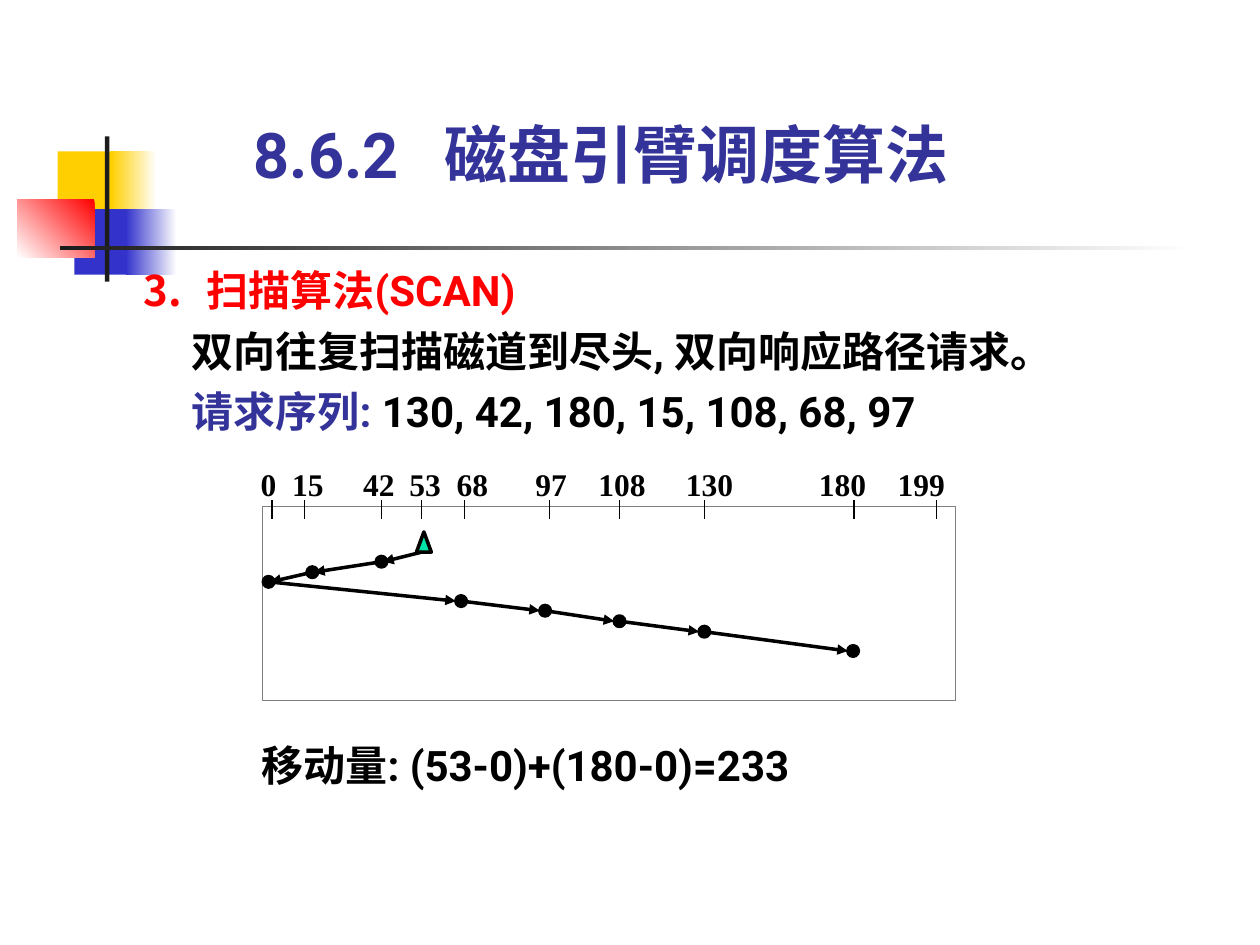
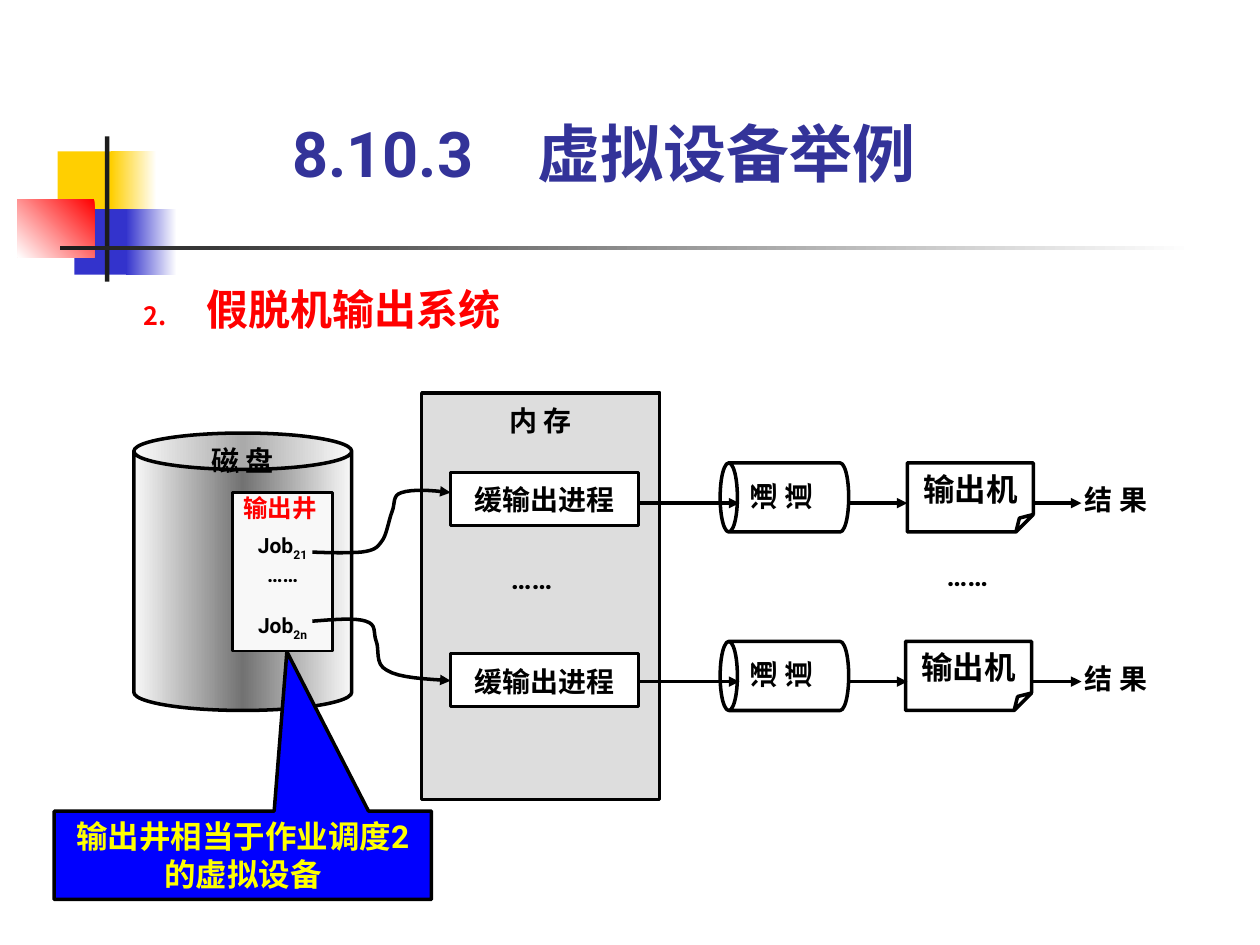
"""Build two operating-system lecture slides: SCAN disk scheduling and spooled output."""
import copy
import itertools

import pptx
import pptx.dml.color
import pptx.enum.shapes
import pptx.enum.text
import pptx.oxml.ns
import pptx.util
from lxml import etree

Pt = pptx.util.Pt
qn = pptx.oxml.ns.qn
SHAPE = pptx.enum.shapes.MSO_SHAPE
ALIGN = pptx.enum.text.PP_ALIGN
ANCHOR = pptx.enum.text.MSO_ANCHOR
RGB = pptx.dml.color.RGBColor.from_string

COLORS = {
    "black": "000000", "white": "FFFFFF", "red": "FF0000", "title": "333399",
    "gold": "FFCF01", "blue": "3333CC", "ink": "1C1C1C", "frame": "808080",
    "head": "00E4A8", "memory": "DDDDDD", "paper": "F8F8F8", "steel": "727272",
    "callout": "0000FF", "yellow": "FFFF00",
}


def draw(slide, kind, box, fills=(), weight=0, line="black", angle=180):
    """Add a preset shape; several fills make an evenly spaced gradient."""
    shape = slide.shapes.add_shape(kind, *map(Pt, box))
    shape.shadow.inherit = False
    if not fills:
        shape.fill.background()
    elif len(fills) == 1:
        shape.fill.solid()
        shape.fill.fore_color.rgb = RGB(COLORS[fills[0]])
    else:
        shape.fill.gradient()
        shape.fill.gradient_angle = angle
        stops = next(shape._element.spPr.iter(qn("a:gsLst")))
        while len(stops) < len(fills):
            stops.append(copy.deepcopy(stops[0]))
        for i, stop in enumerate(shape.fill.gradient_stops):
            stop.color.rgb = RGB(COLORS[fills[i]])
            stop.position = i / (len(fills) - 1)
    if weight:
        shape.line.color.rgb = RGB(COLORS[line])
        shape.line.width = Pt(weight)
    else:
        shape.line.fill.background()
    return shape


def write(shape, text, size, color="black", align=ALIGN.CENTER, anchor=ANCHOR.TOP,
          insets=(0, 0, 0, 0), wrap=True, font="Roboto", tabs=(), number=None):
    """Fill a shape with bold paragraphs; number is (start, bullet percent) for the first."""
    frame = shape.text_frame
    frame.word_wrap = wrap
    frame.vertical_anchor = anchor
    frame.margin_left, frame.margin_top, frame.margin_right, frame.margin_bottom = map(Pt, insets)
    frame.text = text
    for i, paragraph in enumerate(frame.paragraphs):
        props = paragraph._p.get_or_add_pPr()
        if number and i == 0:
            props.set("marL", str(Pt(36)))
            props.set("indent", str(-Pt(36)))
            bullet_color = etree.SubElement(props, qn("a:buClr"))
            etree.SubElement(bullet_color, qn("a:srgbClr"), val=COLORS["red"])
            etree.SubElement(props, qn("a:buSzPct"), val=str(number[1] * 1000))
            etree.SubElement(props, qn("a:buAutoNum"), type="arabicPeriod", startAt=str(number[0]))
        if tabs:
            tab_list = etree.SubElement(props, qn("a:tabLst"))
            for stop in tabs:
                etree.SubElement(tab_list, qn("a:tab"), pos=str(Pt(stop)), algn="l")
        paragraph.alignment = align
        paragraph.font.name = font
        paragraph.font.size = Pt(size)
        paragraph.font.bold = True
        paragraph.font.color.rgb = RGB(COLORS[color])
    return frame


prs = pptx.Presentation()
prs.slide_width, prs.slide_height = Pt(720), Pt(540)
scan, spool = [prs.slides.add_slide(prs.slide_layouts[6]) for _ in range(2)]

decoration = [
    ((33, 86.5, 34.5, 37.5), ["gold"], 180),
    ((63.5, 86.5, 26, 37.5), ["white", "gold"], 180),
    ((42.5, 119.5, 33, 37.5), ["blue"], 180),
    ((72, 119.5, 29, 37.5), ["white", "blue"], 180),
    ((10, 114, 44, 33), ["red", "white"], 225),
    ((60, 78, 2.5, 83), ["ink"], 180),
    ((34.5, 140.5, 648, 2.5), ["white", "ink"], 180),
]
titles = [
    (scan, "8.6.2\t磁盘引臂调度算法", (145, 66, 414, 43), 109),
    (spool, "8.10.3\t虚拟设备举例", (167, 65.5, 391, 43), 140),
]
for slide, title, box, gap in titles:
    for part, fills, angle in decoration:
        draw(slide, SHAPE.RECTANGLE, part, fills, angle=angle)
    write(slide.shapes.add_textbox(*map(Pt, box)), title, 36, "title", ALIGN.LEFT,
          ANCHOR.BOTTOM, tabs=[gap])

strokes = []

method = write(scan.shapes.add_textbox(Pt(82), Pt(145.5), Pt(613), Pt(104)),
               "扫描算法(SCAN)\n双向往复扫描磁道到尽头, 双向响应路径请求。\n请求序列:",
               24, align=ALIGN.LEFT, number=(3, 100))
heading, rule, requests = method.paragraphs
heading.font.color.rgb = RGB(COLORS["red"])
requests.font.color.rgb = RGB(COLORS["title"])
sequence = requests.add_run()
sequence.text = " 130, 42, 180, 15, 108, 68, 97"
sequence.font.color.rgb = RGB(COLORS["black"])
for paragraph in method.paragraphs:
    paragraph.line_spacing = 1.2
for paragraph in (rule, requests):
    paragraph._p.pPr.set("marL", str(Pt(27.5)))

distance = write(scan.shapes.add_textbox(Pt(149.5), Pt(417), Pt(352), Pt(34.5)),
                 "移动量: (53-0)+(180-0)=233", 24, align=ALIGN.LEFT)
distance.paragraphs[0].line_spacing = 1.2

draw(scan, SHAPE.RECTANGLE, (150, 289.5, 396, 111), weight=0.75, line="frame")
tracks = [0, 15, 42, 53, 68, 97, 108, 130, 180, 199]
write(scan.shapes.add_textbox(Pt(149), Pt(265.5), Pt(410), Pt(22)),
      "\t".join(map(str, tracks)), 18, align=ALIGN.LEFT, font="Times New Roman",
      tabs=[18, 58.5, 85, 112, 157, 193, 243, 319, 364])
for x in (155.5, 174, 218, 241, 265.5, 314, 354, 402.5, 488, 535):
    strokes.append((scan, [(x, 286), (x, 296.5)], 0.75, False))

draw(scan, SHAPE.ISOSCELES_TRIANGLE, (238, 304, 8.5, 11.5), ["head"], 2)
visits = [(241, 315.5), (218, 321), (178.5, 327), (153.5, 332.5), (263.5, 343.5),
          (311.5, 349), (354, 355), (402.5, 361), (487.5, 372)]
for start, (x, y) in itertools.pairwise(visits):
    draw(scan, SHAPE.OVAL, (x - 3, y - 3, 6, 6), ["black"], 2)
    strokes.append((scan, [start, (x - 3 if x > start[0] else x + 1, y)], 2, True))

write(spool.shapes.add_textbox(Pt(82), Pt(162), Pt(227), Pt(29)), "假脱机输出系统",
      24, "red", ALIGN.LEFT, number=(2, 60))

disk = draw(spool, SHAPE.CAN, (76.5, 247.5, 124.5, 158.5), ["paper", "steel", "paper"], 2)
disk.adjustments[0] = 0.167
well = draw(spool, SHAPE.RECTANGLE, (133, 281.5, 57, 90.5), ["paper"], 1.5)
jobs = write(well, "Job\n……\nJob", 12, anchor=ANCHOR.MIDDLE, insets=(7.2, 21, 7.2, 3.6), wrap=False)
jobs.paragraphs[2].space_before = Pt(15)
for row, index in ((0, "21"), (2, "2n")):
    subscript = jobs.paragraphs[row].add_run()
    subscript.text = index
    subscript._r.get_or_add_rPr().set("baseline", "-25000")
write(spool.shapes.add_textbox(Pt(139), Pt(281.5), Pt(45.5), Pt(17)), "输出井", 14, "red", ALIGN.LEFT)

draw(spool, SHAPE.RECTANGLE, (241, 224.5, 136, 232.5), ["memory"], 2)
labels = [("磁 盘", 116, 253.5), ("内 存", 286, 230.5), ("……", 281, 321),
          ("……", 530, 319), ("结 果", 615, 276), ("结 果", 615, 378)]
for label, x, y in labels:
    write(spool.shapes.add_textbox(Pt(x), Pt(y), Pt(45.5), Pt(19.5)), label, 16)

for y, process_top, printer_left in ((287.5, 270, 518.5), (389.5, 373.5, 517.5)):
    process = draw(spool, SHAPE.RECTANGLE, (257.5, process_top, 107.5, 30.5), ["white"], 1.75)
    write(process, "缓输出进程", 16, insets=(0, 6, 0, 6))
    channel = draw(spool, SHAPE.CAN, (428.5, y - 40, 39.5, 73.5), weight=2)
    channel.rotation = 270
    channel.adjustments[0] = 0.25
    frame = write(channel, "通 道", 16, anchor=ANCHOR.MIDDLE, insets=(3.6, 7.2, 3.6, 7.2), wrap=False)
    frame._txBody.bodyPr.set("vert", "eaVert")
    printer = draw(spool, SHAPE.FOLDED_CORNER, (printer_left, y - 23, 72, 39.5), weight=2)
    fold = next(printer._element.spPr.iter(qn("a:avLst")))
    etree.SubElement(fold, qn("a:gd"), name="adj", fmla="val 25200")
    write(printer, "输出机", 18, anchor=ANCHOR.MIDDLE, insets=(7.2, 3.6, 7.2, 3.6), wrap=False)
    for left, right in ((365.5, 422.5), (484.5, 518.5), (590, 618)):
        strokes.append((spool, [(left, y), (right, y)], 2, True))

job_paths = [
    [(178.5, 315.5), (189.5, 316), (200, 316), (206.5, 315.5), (214, 314.5), (215.5, 313),
     (218, 309.5), (221, 306), (222, 297.5), (224, 292.5), (226, 288), (224, 283),
     (229.5, 281.5), (235.5, 279.5), (246, 280), (257.5, 281.5)],
    [(178.5, 355), (191, 354), (203, 353), (209, 355), (215.5, 357), (213, 361),
     (215, 366.5), (217, 371), (214, 379.5), (221, 383), (228, 387.5), (243.5, 388),
     (257.5, 389)],
]
for controls in job_paths:
    curve = controls[:1]
    for first in range(0, len(controls) - 1, 3):
        for t in (step / 8 for step in range(1, 9)):
            weights = ((1 - t) ** 3, 3 * t * (1 - t) ** 2, 3 * t * t * (1 - t), t ** 3)
            curve.append(tuple(sum(w * c[axis] for w, c in zip(weights, controls[first:first + 4]))
                               for axis in (0, 1)))
    strokes.append((spool, curve, 2, True))

callout = draw(spool, SHAPE.RECTANGULAR_CALLOUT, (31, 463.5, 215.5, 50.5), ["callout"], 2)
callout.adjustments[0], callout.adjustments[1] = 0.117, -2.303
write(callout, "输出井相当于作业调度2的虚拟设备", 18, "yellow", anchor=ANCHOR.MIDDLE,
      insets=(7.2, 3.6, 7.2, 3.6))

for slide, points, weight, arrow in strokes:
    points = [(Pt(x), Pt(y)) for x, y in points]
    if len(points) == 2:
        stroke = slide.shapes.add_connector(pptx.enum.shapes.MSO_CONNECTOR.STRAIGHT,
                                            *points[0], *points[1])
    else:
        builder = slide.shapes.build_freeform(*points[0])
        builder.add_line_segments(points[1:], close=False)
        stroke = builder.convert_to_shape()
        stroke.fill.background()
    stroke.line.color.rgb = RGB(COLORS["black"])
    stroke.line.width = Pt(weight)
    if arrow:
        etree.SubElement(stroke.line._get_or_add_ln(), qn("a:tailEnd"), type="triangle")
    etree.SubElement(stroke._element.spPr, qn("a:effectLst"))

prs.save("out.pptx")
